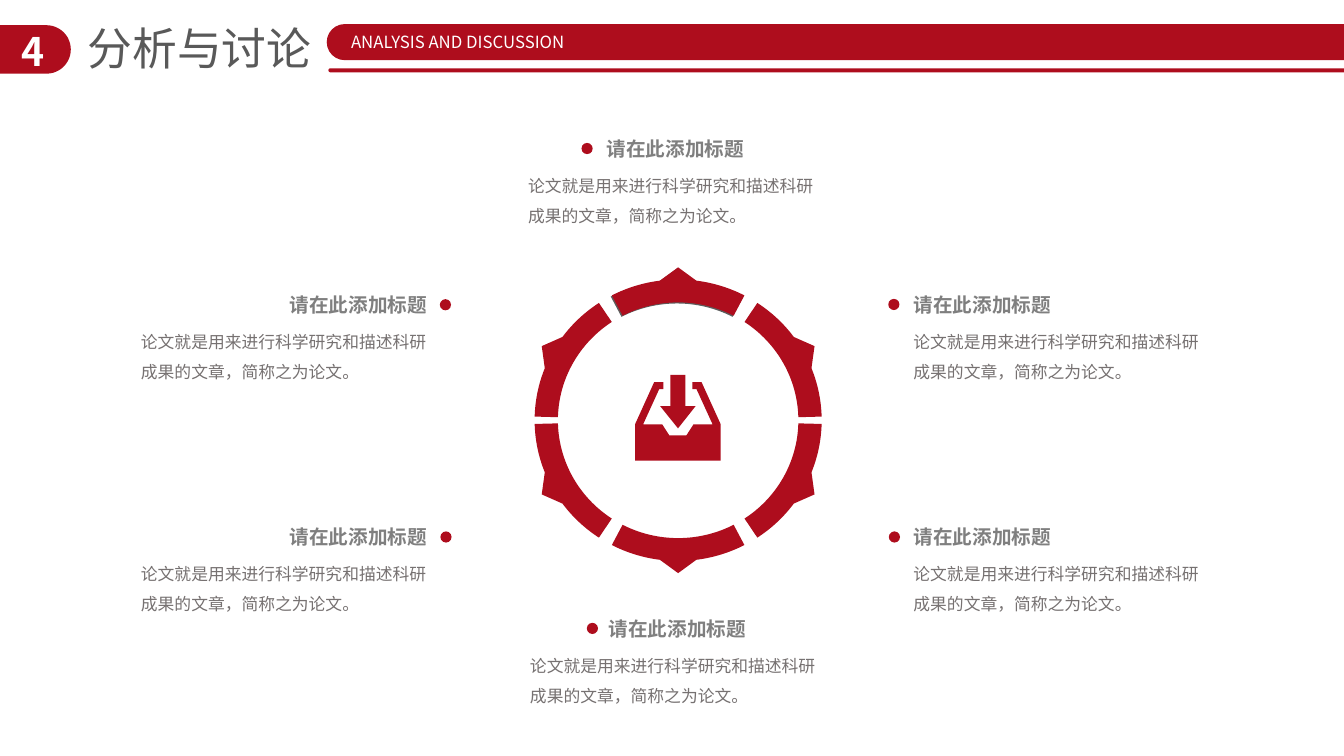
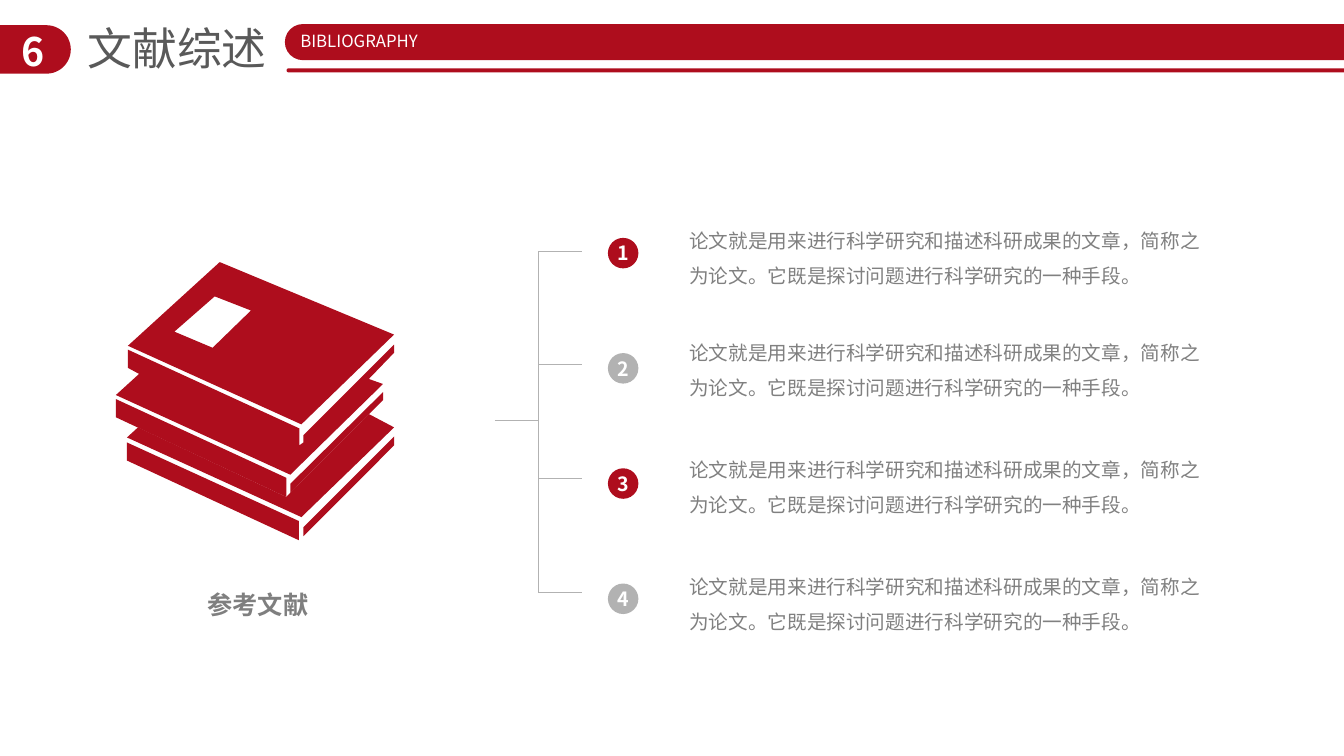
"""Build two thesis slides: a six-part discussion ring and a bibliography list."""
from math import atan, cos, degrees, hypot, radians, sin, tan

from lxml import etree
from pptx import Presentation
from pptx.dml.color import RGBColor
from pptx.enum.shapes import MSO_CONNECTOR, MSO_SHAPE
from pptx.enum.text import MSO_ANCHOR, MSO_AUTO_SIZE, PP_ALIGN
from pptx.oxml.ns import qn
from pptx.util import Pt

RED = RGBColor(0xAE, 0x0D, 0x1D)
WHITE = RGBColor(0xFF, 0xFF, 0xFF)
SILVER = RGBColor(0xB2, 0xB2, 0xB2)
SHADE = RGBColor(0x5D, 0x5D, 0x5D)
TITLE_GRAY = RGBColor(0x59, 0x59, 0x59)
HEADING_GRAY = RGBColor(0x7F, 0x7F, 0x7F)
BODY_GRAY = RGBColor(0x76, 0x71, 0x71)
LIST_GRAY = RGBColor(0x80, 0x80, 0x80)

ROUNDED = MSO_SHAPE.ROUNDED_RECTANGLE
OVAL = MSO_SHAPE.OVAL
STRAIGHT = MSO_CONNECTOR.STRAIGHT
LEFT = PP_ALIGN.LEFT
CENTER = PP_ALIGN.CENTER
MIDDLE = MSO_ANCHOR.MIDDLE
FIT_SHAPE = MSO_AUTO_SIZE.SHAPE_TO_FIT_TEXT

FONT = "Noto Sans CJK SC"
BADGE = ({"size": Pt(28), "bold": True}, WHITE)
TITLE = ({"size": Pt(32)}, TITLE_GRAY)
SUBTITLE = ({"size": Pt(12)}, WHITE)
HEADING = ({"size": Pt(14), "bold": True}, HEADING_GRAY)
BODY = ({"size": Pt(12)}, BODY_GRAY)
LIST = ({"size": Pt(14)}, LIST_GRAY)
NUMBER = ({"size": Pt(14), "bold": True}, WHITE)
CAPTION = ({"size": Pt(18), "bold": True}, HEADING_GRAY)

ITEM_HEADING = "请在此添加标题"
ITEM_BODY = "论文就是用来进行科学研究和描述科研成果的文章，简称之为论文。"
LIST_TEXT = ITEM_BODY + "它既是探讨问题进行科学研究的一种手段。"

ITEMS = [
    (199.8, 93.6, 314.2, 205.6),
    (199.8, 93.6, 314.6, 371.5),
    (426.2, 370.1, 415.4, 94),
    (645.5, 645.4, 634.5, 205.4),
    (645.5, 645.4, 634.9, 371.5),
    (427.7, 371.5, 419.2, 436.8),
]

RING_CENTER = (484.4, 300.2)
RING_ANGLES = [0, 61, 119, 180, 241, 299]
RING_STRETCH = 1.02
INNER_RADIUS, OUTER_RADIUS, TIP_RADIUS = 84.2, 100.5, 109.2
HALF_SPAN, HALF_TIP = 27.5, 7.3

INBOX_ARROW = [
    (489.6, 290.2), (489.6, 267.8), (478.8, 267.8), (478.8, 290.2),
    (471.6, 290.2), (484.3, 306), (496.8, 290.2),
]
INBOX_TRAY = [
    (501.1, 272.9), (494.6, 272.9), (494.6, 277.9), (497.5, 277.9),
    (509, 303.1), (495.4, 303.1), (490.3, 311), (478.1, 311),
    (473, 303.1), (459.4, 303.1), (470.9, 277.9), (473.8, 277.9),
    (473.8, 272.9), (467.3, 272.9), (453.6, 303.1), (453.6, 329),
    (514.8, 329), (514.8, 303.1),
]

BOOK_PARTS = [
    [[(90.7, 329), (213.4, 385.9), (213.4, 372.2), (90.7, 316.1)]],
    [[(216.7, 383), (281.5, 318.2), (281.5, 311.8), (216.7, 376.6)]],
    [[(82.8, 285.1), (82.8, 298.1), (204.5, 355), (204.5, 341.3)]],
    [[(207.4, 339.1), (273.6, 274.3), (263.5, 270.7), (281.5, 252),
      (281.5, 246.2), (216.7, 311), (216.7, 316.1), (213.8, 318.2),
      (213.8, 306), (91.4, 249.8), (91.4, 262.8), (99.4, 267.1),
      (82.8, 282.2)]],
    [[(281.5, 239), (157, 187.2), (91.4, 247), (215.3, 303.1)],
     [(151.9, 248.4), (124.6, 236.9), (153.4, 211.7), (179.3, 221.8)]],
    [[(207.4, 352.1), (273.6, 285.8), (273.6, 280.1), (207.4, 345.6)]],
    [[(263.5, 295.8), (207.4, 352.1), (204.5, 355), (98.6, 305.3),
      (90.7, 312.5), (215.3, 369.4), (281.5, 305.3)]],
]

LIST_TOPS = [151.6, 231.6, 315.2, 398.6]
CIRCLE_TOP, CIRCLE_STEP, CIRCLE_SIZE = 169.9, 82.3, 21.8
BRANCH_TOP, BRANCH_STEP = 179.3, 81.2
STEM_LEFT, SPINE_LEFT, BRANCH_END, STEM_TOP = 353.5, 384.5, 415.4, 300.2


def write_text(frame, text, style, align):
    """Write one styled run into a text frame and return its paragraph."""
    values, color = style
    para = frame.paragraphs[0]
    para.alignment = align
    span = para.add_run()
    span.text = text
    for name, value in {"name": FONT, **values}.items():
        setattr(span.font, name, value)
    span.font.color.rgb = color
    east_asian = etree.SubElement(span.font._element, qn("a:ea"))
    east_asian.set("typeface", FONT)
    return para


def add_text(page, text, area, style, align=LEFT, wrap=False, spacing=None):
    """Add a text box in the given area."""
    frame = page.shapes.add_textbox(*map(Pt, area)).text_frame
    frame.word_wrap = wrap
    frame.auto_size = FIT_SHAPE
    para = write_text(frame, text, style, align)
    if spacing:
        para.line_spacing = spacing


def paint(shape, color):
    """Give a shape a flat fill without line or shadow."""
    shape.shadow.inherit = False
    shape.fill.solid()
    shape.fill.fore_color.rgb = color
    shape.line.fill.background()
    return shape


def add_shape(page, kind, area, color):
    """Add a flat preset shape."""
    return paint(page.shapes.add_shape(kind, *map(Pt, area)), color)


def add_pill(page, area):
    """Add a red bar with fully rounded ends."""
    add_shape(page, ROUNDED, area, RED).adjustments[0] = 0.5


def add_outline(page, contours, color):
    """Add a filled freeform made of one or more closed contours."""
    contours = [[(Pt(x), Pt(y)) for x, y in contour] for contour in contours]
    builder = page.shapes.build_freeform(*contours[0][0])
    builder.add_line_segments(contours[0][1:])
    for contour in contours[1:]:
        builder.move_to(*contour[0])
        builder.add_line_segments(contour[1:])
    return paint(builder.convert_to_shape(), color)


def add_line(page, start, end):
    """Add a thin silver line."""
    line = page.shapes.add_connector(STRAIGHT, *map(Pt, start + end))
    line.line.color.rgb = SILVER
    line.line.width = Pt(0.5)
    etree.SubElement(line._element.spPr, qn("a:effectLst"))


def add_header(page, number, title, title_width, bar_left, subtitle, subtitle_area):
    """Add the numbered badge, the title and the red bars."""
    add_pill(page, (-20.2, 18, 70.8, 34.6))
    add_text(page, number, (5, 15.8, 36.7, 41), BADGE, CENTER, wrap=True)
    add_text(page, title, (55.4, 11.5, title_width, 46), TITLE)
    add_pill(page, (bar_left, 17.2, 794.2, 25.8))
    add_pill(page, (bar_left + 1.2, 48.8, 794.2, 2.9))
    add_text(page, subtitle, subtitle_area, SUBTITLE, CENTER)


def ring_point(center, angle, radius):
    """Return the point at a clockwise angle from the top of the ring."""
    turn = radians(angle)
    return (center[0] + radius * RING_STRETCH * sin(turn), center[1] - radius * cos(turn))


def bend(shape, line, center, start, end, radius):
    """Turn one straight edge of a freeform into an arc of the ring."""
    pull = 4 / 3 * tan(radians(end - start) / 4)
    turn, reach = degrees(atan(pull)), radius * hypot(1, pull)
    curve = etree.Element(qn("a:cubicBezTo"))
    for angle, distance in ((start + turn, reach), (end - turn, reach), (end, radius)):
        x, y = ring_point(center, angle, distance)
        node = etree.SubElement(curve, qn("a:pt"))
        node.set("x", str(Pt(x) - shape.left))
        node.set("y", str(Pt(y) - shape.top))
    line.getparent().replace(line, curve)


def add_ring_segment(page, angle, color=RED, center=RING_CENTER):
    """Add one arc of the ring with a pointed tip on its outer edge."""
    edge = [
        (-HALF_SPAN, INNER_RADIUS), (HALF_SPAN, INNER_RADIUS),
        (HALF_SPAN, OUTER_RADIUS), (HALF_TIP, OUTER_RADIUS), (0, TIP_RADIUS),
        (-HALF_TIP, OUTER_RADIUS), (-HALF_SPAN, OUTER_RADIUS),
    ]
    edge = [(angle + step, radius) for step, radius in edge]
    shape = add_outline(page, [[ring_point(center, *corner) for corner in edge]], color)
    lines = list(shape._element.iter(qn("a:lnTo")))
    for index in (0, 2, 5):
        start, (end, radius) = edge[index][0], edge[index + 1]
        bend(shape, lines[index], center, start, end, radius)


def add_item(page, heading_left, body_left, dot_left, top):
    """Add a heading with its dot and the paragraph below it."""
    add_text(page, ITEM_HEADING, (heading_left, top, 113.8, 24.5), HEADING)
    add_text(page, ITEM_BODY, (body_left, top + 20.5, 225.4, 48.2), BODY, wrap=True, spacing=1.5)
    add_shape(page, OVAL, (dot_left, top + 8.1, 8, 8), RED)


def add_list_row(page, index, text_top):
    """Add a numbered circle, its text and its branch line."""
    circle_top = CIRCLE_TOP + index * CIRCLE_STEP
    color = SILVER if index % 2 else RED
    circle = add_shape(page, OVAL, (434.2, circle_top, CIRCLE_SIZE, CIRCLE_SIZE), color)
    frame = circle.text_frame
    for side in ("left", "top", "right", "bottom"):
        setattr(frame, f"margin_{side}", 0)
    frame.word_wrap = False
    frame.vertical_anchor = MIDDLE
    write_text(frame, str(index + 1), NUMBER, CENTER)
    add_text(page, LIST_TEXT, (485.3, text_top, 391.7, 58.3), LIST, wrap=True, spacing=1.5)
    branch = BRANCH_TOP + index * BRANCH_STEP
    add_line(page, (SPINE_LEFT, branch), (BRANCH_END, branch))


def build_discussion(page):
    """Fill the discussion slide."""
    subtitle_area = (237, 18.9, 180, 21.8)
    add_header(page, "4", "分析与讨论", 176.4, 233.4, "ANALYSIS AND DISCUSSION", subtitle_area)
    x, y = RING_CENTER
    add_ring_segment(page, 0, SHADE, (x - 0.8, y + 0.8))
    for angle in RING_ANGLES:
        add_ring_segment(page, angle)
    for contour in (INBOX_ARROW, INBOX_TRAY):
        add_outline(page, [contour], RED)
    for item in ITEMS:
        add_item(page, *item)


def build_bibliography(page):
    """Fill the bibliography slide."""
    subtitle_area = (205.4, 18.3, 102.2, 21.8)
    add_header(page, "6", "文献综述", 144, 203.5, "BIBLIOGRAPHY", subtitle_area)
    for index, text_top in enumerate(LIST_TOPS):
        add_list_row(page, index, text_top)
    spine_end = BRANCH_TOP + (len(LIST_TOPS) - 1) * BRANCH_STEP
    add_line(page, (SPINE_LEFT, BRANCH_TOP), (SPINE_LEFT, spine_end))
    add_line(page, (STEM_LEFT, STEM_TOP), (SPINE_LEFT, STEM_TOP))
    for contours in BOOK_PARTS:
        add_outline(page, contours, RED)
    add_text(page, "参考文献", (141.1, 417.6, 87.1, 28.8), CAPTION)


def main():
    """Create and save the deck."""
    deck = Presentation()
    deck.slide_width, deck.slide_height = Pt(960), Pt(540)
    for build in (build_discussion, build_bibliography):
        build(deck.slides.add_slide(deck.slide_layouts[6]))
    deck.save("out.pptx")


if __name__ == "__main__":
    main()
